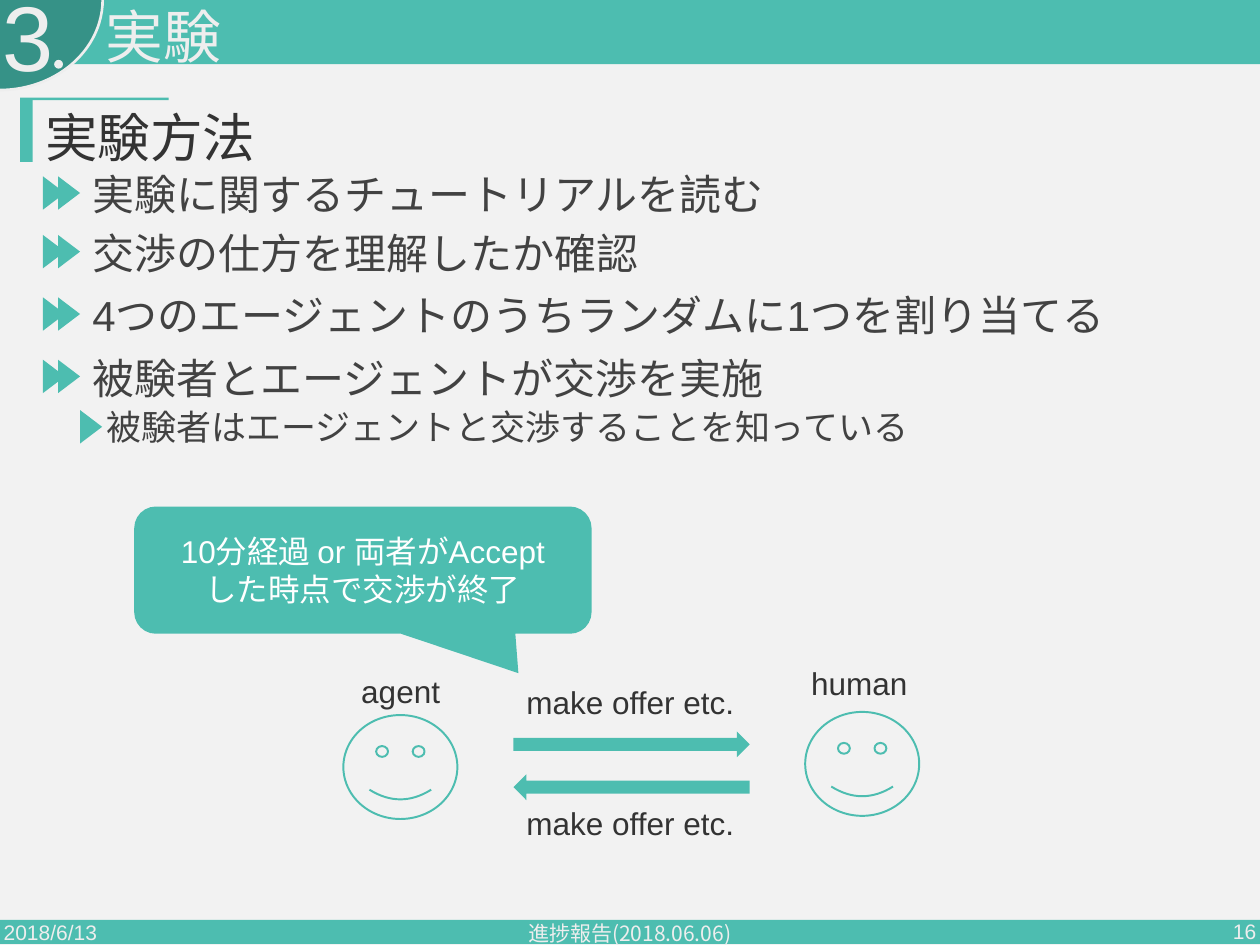
"""Builds the experiment method slide of a progress report."""
from lxml import etree
from pptx import Presentation
from pptx.dml.color import RGBColor
from pptx.enum.shapes import MSO_SHAPE
from pptx.enum.text import MSO_ANCHOR, PP_ALIGN
from pptx.oxml.ns import qn
from pptx.util import Pt

RECT, ARC, OVAL = MSO_SHAPE.RECTANGLE, MSO_SHAPE.ARC, MSO_SHAPE.OVAL
TRIANGLE, SMILEY = MSO_SHAPE.ISOSCELES_TRIANGLE, MSO_SHAPE.SMILEY_FACE
CALLOUT = MSO_SHAPE.ROUNDED_RECTANGULAR_CALLOUT
RIGHT_ARROW, LEFT_ARROW = MSO_SHAPE.RIGHT_ARROW, MSO_SHAPE.LEFT_ARROW
LEFT, CENTER, RIGHT = PP_ALIGN.LEFT, PP_ALIGN.CENTER, PP_ALIGN.RIGHT
TOP, MIDDLE = MSO_ANCHOR.TOP, MSO_ANCHOR.MIDDLE

COLORS = {
    "background": "F2F2F2", "teal": "4DBDB0", "dark teal": "369287",
    "light": "EEEEEE", "heading": "333333", "body": "424242", "white": "FFFFFF",
}
LATIN, JAPANESE = "Arial", "Noto Sans CJK JP"

SLIDE_WIDTH, SLIDE_HEIGHT = 1440, 1080
SECTION_NUMBER, SECTION = "3", "実験"
HEADING = "実験方法"
STEPS = [
    ("実験に関するチュートリアルを読む", 195.8),
    ("交渉の仕方を理解したか確認", 262.8),
    ("4つのエージェントのうちランダムに1つを割り当てる", 334.1),
    ("被験者とエージェントが交渉を実施", 405.4),
]
SUBSTEP = "被験者はエージェントと交渉することを知っている"
ENDING = ["10分経過 or 両者がAccept", "した時点で交渉が終了"]
PARTIES = [
    ("agent", (389.5, 764.6), (392.4, 817.2)),
    ("human", (913.7, 755.3), (920.2, 813.6)),
]
OFFER = "make offer etc."
OFFERS = [(RIGHT_ARROW, 835.9, 776.9), (LEFT_ARROW, 884.9, 915.1)]
FOOTER = [
    ("2018/6/13", (-2.9, 1036.1, 324, 57.6), LEFT, LATIN),
    ("進捗報告(2018.06.06)", (476.6, 1038.2, 486, 57.6), CENTER, JAPANESE),
    ("16", (1118.9, 1035.4, 324, 57.6), RIGHT, LATIN),
]
ACCENT = [(23, 113.8, 14.4, 71.3), (23, 111.6, 169.9, 2.9)]
MARKER_SIZE = (38.2, 25.2)
MARKER_LEFTS, MARKER_DROP = (42.5, 59.8), 12.2


def rgb(name):
    return RGBColor.from_string(COLORS[name])


def add_figure(slide, kind, place, fill=None, line=None, weight=0, rotation=0):
    figure = slide.shapes.add_shape(kind, *map(Pt, place))
    figure.shadow.inherit = False
    figure.rotation = rotation
    if fill:
        figure.fill.solid()
        figure.fill.fore_color.rgb = rgb(fill)
    else:
        figure.fill.background()
    if line:
        figure.line.color.rgb = rgb(line)
        figure.line.width = Pt(weight)
    else:
        figure.line.fill.background()
    return figure


def write(frame, lines, size, color, align=LEFT, anchor=TOP, font=LATIN,
          spacing=None, before=None):
    frame.word_wrap = True
    frame.vertical_anchor = anchor
    for index, line in enumerate(lines):
        paragraph = frame.add_paragraph() if index else frame.paragraphs[0]
        paragraph.alignment = align
        paragraph.line_spacing = spacing
        paragraph.space_before = before
        run = paragraph.add_run()
        run.text = line
        run.font.size = Pt(size)
        run.font.name = font
        run.font.color.rgb = rgb(color)
        east_asian = etree.SubElement(run.font._element, qn("a:ea"))
        east_asian.set("typeface", JAPANESE)


def add_label(slide, text, place, size, color, **style):
    label = slide.shapes.add_textbox(*map(Pt, place))
    write(label.text_frame, [text], size, color, **style)


def add_frame(slide):
    outline = {"spacing": 0.9, "before": Pt(20)}
    add_figure(slide, RECT, (0, 1051.2, SLIDE_WIDTH, 27.4), "teal")
    add_figure(slide, RECT, (0, 0, SLIDE_WIDTH, 73.4), "teal")
    add_figure(slide, ARC, (-103.7, -118.1, 206.6, 235.4), "dark teal",
               line="light", weight=3, rotation=90)
    add_figure(slide, OVAL, (61.9, 68.4, 10.1, 10.1), "light")
    for text, place, align, font in FOOTER:
        add_label(slide, text, place, 24, "light", align=align, anchor=MIDDLE, font=font)
    add_label(slide, SECTION, (113.8, 5.8, 1046.2, 62.6), 66, "light", **outline)
    add_label(slide, SECTION_NUMBER, (-4.3, -12.2, 507.6, 111.6), 105, "light", **outline)


def add_steps(slide):
    outline = {"spacing": 0.9, "before": Pt(20)}
    for place in ACCENT:
        add_figure(slide, RECT, place, "teal")
    add_label(slide, HEADING, (44.6, 124.6, 1362.2, 110.2), 60, "heading", **outline)
    for step, top in STEPS:
        for left in MARKER_LEFTS:
            add_figure(slide, TRIANGLE, (left, top + MARKER_DROP, *MARKER_SIZE),
                       "teal", rotation=90)
        add_label(slide, step, (98.6, top, 1381.7, 135.4), 48, "body", **outline)
    add_figure(slide, TRIANGLE, (85, 475.2, *MARKER_SIZE), "teal", rotation=90)
    add_label(slide, SUBSTEP, (114.5, 465.8, 1270.8, 67), 40, "body", **outline)


def add_negotiation(slide):
    ending = add_figure(slide, CALLOUT, (153.4, 578.9, 522.7, 145.4), "teal")
    for index, value in enumerate((0.34, 0.81, 0.17)):
        ending.adjustments[index] = value
    write(ending.text_frame, ENDING, 36, "white", align=CENTER, anchor=MIDDLE)
    for party, label_corner, face_corner in PARTIES:
        add_figure(slide, SMILEY, (*face_corner, 130.3, 118.8), line="teal", weight=2.25)
        add_label(slide, party, (*label_corner, 136.8, 51.1), 36, "heading", align=CENTER)
    for arrow, arrow_top, label_top in OFFERS:
        add_figure(slide, arrow, (586.8, arrow_top, 270, 29.5), "teal")
        add_label(slide, OFFER, (580.3, label_top, 280.1, 51.1), 36, "heading", align=CENTER)


def main():
    deck = Presentation()
    deck.slide_width, deck.slide_height = Pt(SLIDE_WIDTH), Pt(SLIDE_HEIGHT)
    slide = deck.slides.add_slide(deck.slide_layouts[6])
    slide.background.fill.solid()
    slide.background.fill.fore_color.rgb = rgb("background")
    add_frame(slide)
    add_steps(slide)
    add_negotiation(slide)
    deck.save("out.pptx")


if __name__ == "__main__":
    main()
